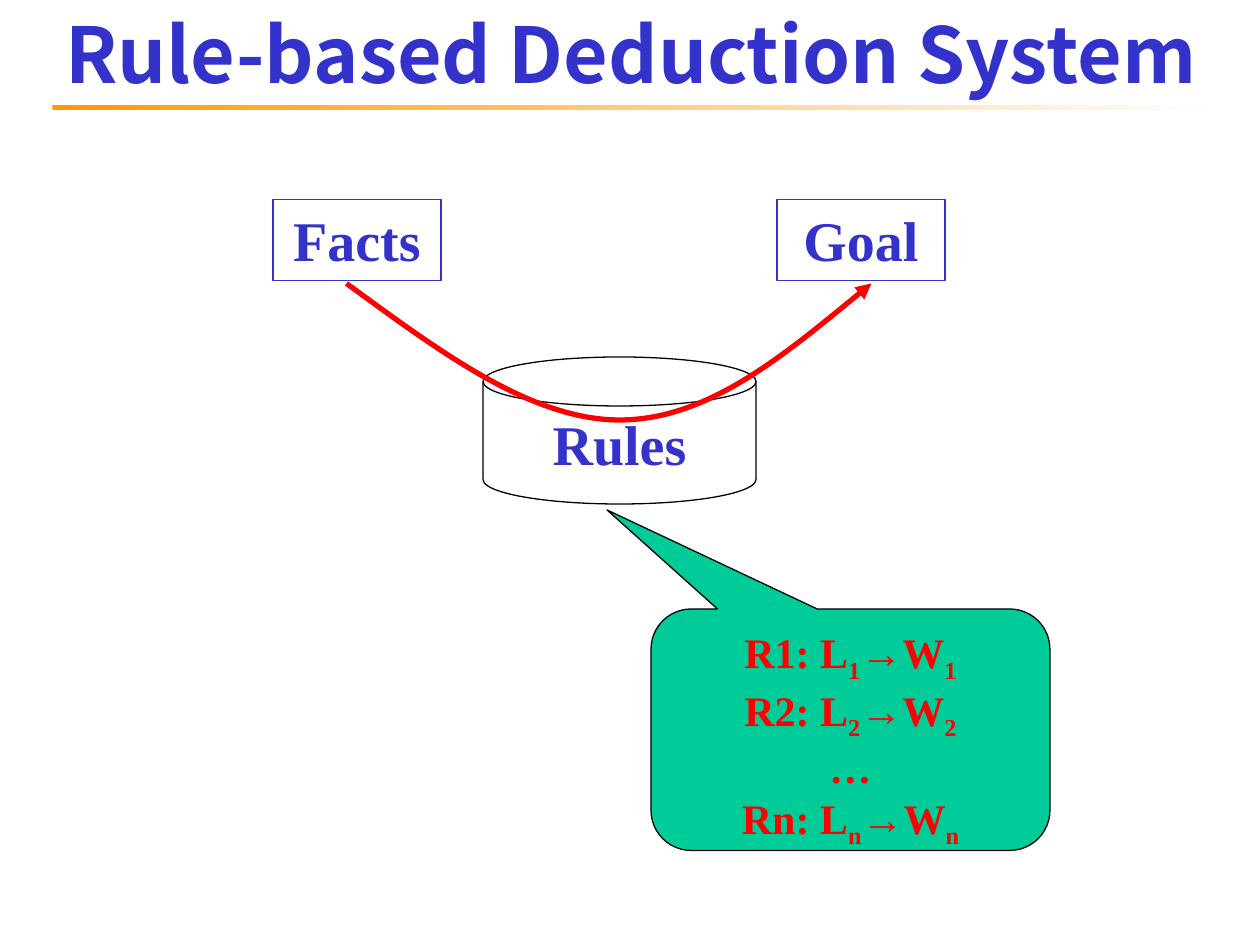
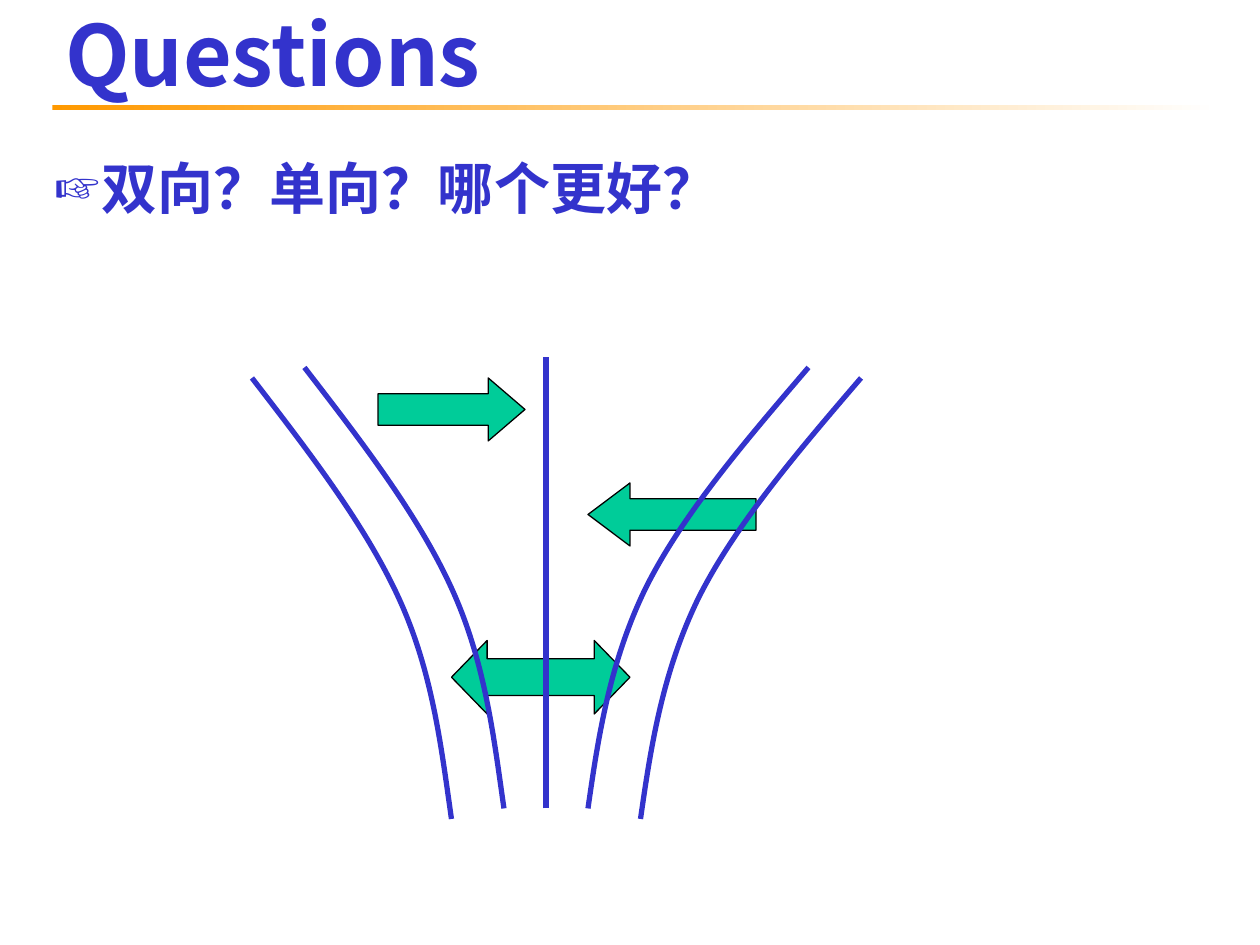
from dataclasses import dataclass

from pptx import Presentation
from pptx.dml.color import RGBColor
from pptx.enum.shapes import MSO_CONNECTOR, MSO_SHAPE
from pptx.enum.text import MSO_ANCHOR, MSO_AUTO_SIZE, PP_ALIGN
from pptx.oxml.ns import qn
from pptx.oxml.xmlchemy import OxmlElement
from pptx.util import Pt

LEFT, CENTER = PP_ALIGN.LEFT, PP_ALIGN.CENTER
TOP, MIDDLE = MSO_ANCHOR.TOP, MSO_ANCHOR.MIDDLE
NO_AUTOFIT = MSO_AUTO_SIZE.NONE
RECT = MSO_SHAPE.RECTANGLE
DISK = MSO_SHAPE.FLOWCHART_MAGNETIC_DISK
CALLOUT = MSO_SHAPE.ROUNDED_RECTANGULAR_CALLOUT
RIGHT_ARROW = MSO_SHAPE.RIGHT_ARROW
LEFT_ARROW = MSO_SHAPE.LEFT_ARROW
BOTH_ARROW = MSO_SHAPE.LEFT_RIGHT_ARROW
STRAIGHT = MSO_CONNECTOR.STRAIGHT

EMU_PER_PX = 7620  # 120 px to the inch


@dataclass(frozen=True)
class Theme:
    blue: str = "3333CC"
    red: str = "FF0000"
    green: str = "00CC99"
    orange: str = "FF9900"
    white: str = "FFFFFF"
    black: str = "000000"
    serif: str = "Times New Roman"
    sans: str = "Noto Sans CJK SC"
    title: int = 48
    long_title: int = 44
    label: int = 32
    rule: int = 24
    thin: float = 0.75
    thick: float = 3


T = Theme()


@dataclass(frozen=True)
class Box:
    x: int
    y: int
    w: int
    h: int


@dataclass(frozen=True)
class BlockArrow:
    kind: int
    box: Box
    head: int


RULE_BOX = Box(50, 100, 1110, 5)
TITLE_BOX = Box(50, 0, 1150, 100)
BODY_BOX = Box(40, 140, 1120, 730)
BULLET_INDENT = 45

ENDPOINTS = {"Goal": Box(740, 190, 160, 77), "Facts": Box(260, 190, 160, 77)}
# Every second part of a line is a subscript
RULE_LINES = [
    ("R1: L", "1", "→W", "1"),
    ("R2: L", "2", "→W", "2"),
    ("…",),
    ("Rn: L", "n", "→W", "n"),
]
DEDUCTION = [(330, 270), (419, 335), (506, 400), (590, 400),
             (673, 400), (751, 335), (830, 270)]

ARROWS = [
    BlockArrow(RIGHT_ARROW, Box(360, 360, 140, 60), 35),
    BlockArrow(LEFT_ARROW, Box(560, 460, 160, 60), 40),
    BlockArrow(BOTH_ARROW, Box(430, 610, 170, 70), 34),
]
# x of the curve points of each inner road edge, and the way to the outer one
ROADS = [
    ((290, 344, 398, 430, 462, 470, 480), -50),
    ((770, 710, 650, 615, 581, 570, 560), 50),
]
ROAD_TOP, ROAD_STEP, ROAD_DROP = 350, 70, 10


def px(n: int) -> int:
    return n * EMU_PER_PX


def rgb(color: str) -> RGBColor:
    return RGBColor.from_string(color)


def place(sp, box: Box) -> None:
    sp.left, sp.top, sp.width, sp.height = map(px, (box.x, box.y, box.w, box.h))


def write(tf, lines: list, *, size: int, color: str = T.blue, font: str = T.serif,
          align=CENTER, anchor=TOP, wrap: bool = True) -> None:
    """Fill a text frame; a line is a tuple of normal and subscript parts."""
    tf.auto_size = NO_AUTOFIT
    tf.word_wrap = wrap
    tf.vertical_anchor = anchor
    for i, parts in enumerate(lines):
        p = tf.add_paragraph() if i else tf.paragraphs[0]
        p.alignment = align
        p.space_before = Pt(0)
        for j, part in enumerate(parts):
            r = p.add_run()
            r.text = part
            r.font.size, r.font.bold, r.font.name = Pt(size), True, font
            r.font.color.rgb = rgb(color)
            rPr = r._r.get_or_add_rPr()
            if j % 2:
                rPr.set("baseline", "-25000")
            ea = OxmlElement("a:ea")
            ea.set("typeface", T.sans)
            rPr.find(qn("a:latin")).addnext(ea)


def set_line(sp, color: str, width: float) -> None:
    sp.line.color.rgb = rgb(color)
    sp.line.width = Pt(width)


def add_shape(s, kind: int, box: Box, *, fill: str = "", line: str = T.black):
    sp = s.shapes.add_shape(kind, *map(px, (box.x, box.y, box.w, box.h)))
    sp.shadow.inherit = False
    if fill:
        sp.fill.solid()
        sp.fill.fore_color.rgb = rgb(fill)
    else:
        sp.fill.background()
    set_line(sp, line, T.thin)
    return sp


def add_curve(s, points: list, color: str, *, arrow: bool = False) -> None:
    """Draw a chain of Bezier curves: a start, then three points per curve."""
    builder = s.shapes.build_freeform(*points[0], scale=EMU_PER_PX)
    builder.add_line_segments(points[1:], close=False)
    sp = builder.convert_to_shape()
    sp.shadow.inherit = False
    sp.fill.background()
    set_line(sp, color, T.thick)
    # Turn each three line segments into one cubic curve
    path = next(sp.element.iter(qn("a:path")))
    segments = path.findall(qn("a:lnTo"))
    for i in range(0, len(segments), 3):
        curve = OxmlElement("a:cubicBezTo")
        for segment in segments[i:i + 3]:
            curve.append(segment[0])
            path.remove(segment)
        path.append(curve)
    if arrow:
        tail = OxmlElement("a:tailEnd")
        tail.set("type", "triangle")
        sp.line._get_or_add_ln().append(tail)


def add_slide(prs, layout: int, title: str, size: int):
    s = prs.slides.add_slide(prs.slide_layouts[layout])
    place(s.shapes.title, TITLE_BOX)
    write(s.shapes.title.text_frame, [(title,)], size=size, font=T.sans,
          align=LEFT, anchor=MIDDLE)
    return s


def add_title_rule(prs, s) -> None:
    """Draw the fading rule and move it to the master, for all slides."""
    sp = add_shape(s, RECT, RULE_BOX)
    sp.line.fill.background()
    sp.fill.gradient()
    sp.fill.gradient_angle = 0
    for stop, color in zip(sp.fill.gradient_stops, (T.orange, T.white)):
        stop.color.rgb = rgb(color)
    prs.slide_master.shapes.element.append(sp.element)


def add_bullet(p, char: str, indent: int) -> None:
    pPr = p._p.get_or_add_pPr()
    pPr.set("marL", str(px(indent)))
    pPr.set("indent", str(-px(indent)))
    for tag, key, value in (("a:buFont", "typeface", T.serif),
                            ("a:buChar", "char", char)):
        el = OxmlElement(tag)
        el.set(key, value)
        pPr.append(el)


def build_deduction(prs) -> None:
    s = add_slide(prs, 5, "Rule-based Deduction System", T.long_title)
    add_title_rule(prs, s)

    # Facts lead to the goal through the rules
    for name, box in ENDPOINTS.items():
        sp = add_shape(s, RECT, box, line=T.blue)
        write(sp.text_frame, [(name,)], size=T.label)
    disk = add_shape(s, DISK, Box(460, 340, 260, 140))
    write(disk.text_frame, [("Rules",)], size=T.label, anchor=MIDDLE, wrap=False)
    add_curve(s, DEDUCTION, T.red, arrow=True)

    # Callout with the rule list
    callout = add_shape(s, CALLOUT, Box(620, 580, 380, 230), fill=T.green)
    callout.adjustments[0], callout.adjustments[1] = -0.61, -0.91
    write(callout.text_frame, RULE_LINES, size=T.rule, color=T.red)


def build_questions(prs) -> None:
    s = add_slide(prs, 1, "Questions", T.title)
    body = s.placeholders[1]
    place(body, BODY_BOX)
    write(body.text_frame, [("双向？单向？哪个更好？",)], size=T.label, align=LEFT)
    add_bullet(body.text_frame.paragraphs[0], "☞", BULLET_INDENT)

    # Block arrows for the directions
    for arrow in ARROWS:
        sp = add_shape(s, arrow.kind, arrow.box, fill=T.green)
        sp.adjustments[1] = arrow.head / arrow.box.h

    # Centre line
    line = s.shapes.add_connector(STRAIGHT, px(520), px(770), px(520), px(340))
    set_line(line, T.blue, T.thick)
    line.element.spPr.append(OxmlElement("a:effectLst"))

    # Road edges, each with a parallel outer edge
    for xs, shift in ROADS:
        for dx, dy in ((0, 0), (shift, ROAD_DROP)):
            points = [(x + dx, ROAD_TOP + i * ROAD_STEP + dy)
                      for i, x in enumerate(xs)]
            add_curve(s, points, T.blue)


def main() -> None:
    prs = Presentation()
    prs.slide_width, prs.slide_height = px(1200), px(900)
    build_deduction(prs)
    build_questions(prs)
    prs.save("out.pptx")


if __name__ == "__main__":
    main()
